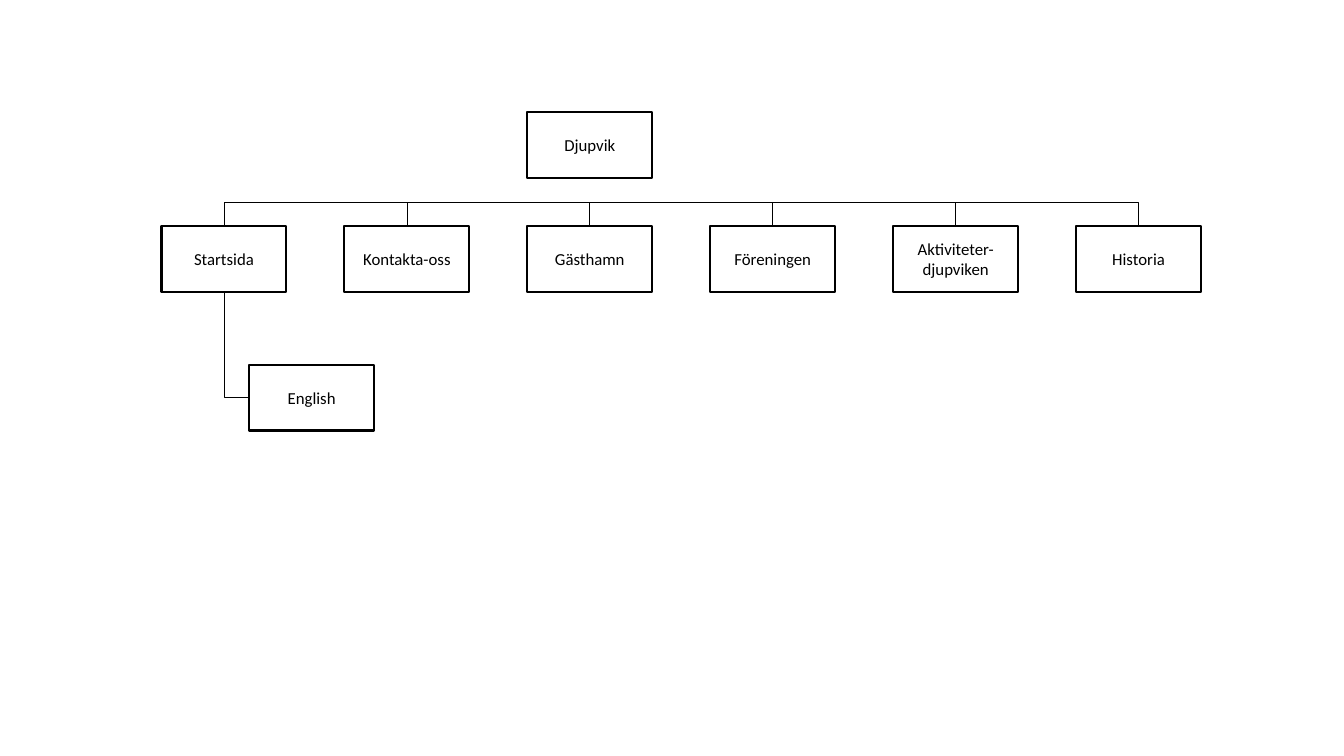
from dataclasses import dataclass

from lxml.etree import SubElement
from pptx import Presentation
from pptx.dml.color import RGBColor
from pptx.enum.shapes import MSO_CONNECTOR, MSO_SHAPE
from pptx.enum.text import MSO_ANCHOR, PP_ALIGN
from pptx.oxml.ns import qn
from pptx.util import Cm, Pt


@dataclass(frozen=True)
class Theme:
    """Colours, font and sizes of the site map."""

    ink: RGBColor = RGBColor(0x00, 0x00, 0x00)
    paper: RGBColor = RGBColor(0xFF, 0xFF, 0xFF)
    font: str = "Calibri"
    text_size: Pt = Pt(12)
    border: Pt = Pt(1.5)
    link: Pt = Pt(0.5)


THEME = Theme()
PAGES = ["Startsida", "Kontakta-oss", "Gästhamn", "Föreningen",
         "Aktiviteter-djupviken", "Historia"]
ROOT_COLUMN = PAGES.index("Gästhamn")
BOX_WIDTH, BOX_HEIGHT = 3.15, 1.66
FIRST_LEFT, COLUMN_STEP = 4.07, 4.61
ROOT_TOP, RAIL_TOP, PAGES_TOP = 2.82, 5.1, 5.7
SUBPAGE_LEFT, SUBPAGE_TOP = 6.28, 9.19


def add_page_box(slide, label, left, top):
    """Add one outlined page box with centred text."""
    shape = slide.shapes.add_shape(
        MSO_SHAPE.RECTANGLE, Cm(left), Cm(top), Cm(BOX_WIDTH), Cm(BOX_HEIGHT))
    shape.shadow.inherit = False
    shape.fill.solid()
    shape.fill.fore_color.rgb = THEME.paper
    shape.line.color.rgb = THEME.ink
    shape.line.width = THEME.border
    text_frame = shape.text_frame
    text_frame.text = label
    text_frame.word_wrap = True
    text_frame.vertical_anchor = MSO_ANCHOR.MIDDLE
    paragraph = text_frame.paragraphs[0]
    paragraph.alignment = PP_ALIGN.CENTER
    font = paragraph.runs[0].font
    font.name = THEME.font
    font.size = THEME.text_size
    font.color.rgb = THEME.ink


def add_elbow(slide, start, end, degrees=270, geometry="bentConnector2"):
    """Add an elbow that leaves its start vertically, turned 90 or 270 degrees."""
    middle_x, middle_y = (start[0] + end[0]) / 2, (start[1] + end[1]) / 2
    turn = 1 if degrees == 90 else -1
    reach_x = turn * (start[1] - middle_y)
    reach_y = turn * (middle_x - start[0])
    connector = slide.shapes.add_connector(
        MSO_CONNECTOR.ELBOW,
        Cm(middle_x + reach_x), Cm(middle_y + reach_y),
        Cm(middle_x - reach_x), Cm(middle_y - reach_y))
    connector.line.color.rgb = THEME.ink
    connector.line.width = THEME.link
    properties = connector._element.spPr
    properties.find(qn("a:xfrm")).set("rot", str(degrees * 60000))
    properties.find(qn("a:prstGeom")).set("prst", geometry)
    SubElement(properties, qn("a:effectLst"))


def add_page_links(slide, centres):
    """Link the top of every main page to the point below the root."""
    trunk = centres[ROOT_COLUMN]
    for column, centre in enumerate(centres):
        degrees = 90 if column < ROOT_COLUMN else 270
        geometry = "bentConnector3" if column == ROOT_COLUMN else "bentConnector2"
        add_elbow(slide, (centre, PAGES_TOP), (trunk, RAIL_TOP), degrees, geometry)


def main():
    """Build the site map slide and save it."""
    presentation = Presentation()
    presentation.slide_width = Cm(33.87)
    presentation.slide_height = Cm(19.05)
    slide = presentation.slides.add_slide(presentation.slide_layouts[6])
    lefts = [FIRST_LEFT + COLUMN_STEP * column for column in range(len(PAGES))]
    centres = [left + BOX_WIDTH / 2 for left in lefts]
    add_page_box(slide, "Djupvik", lefts[ROOT_COLUMN], ROOT_TOP)
    for label, left in zip(PAGES, lefts):
        add_page_box(slide, label, left, PAGES_TOP)
    add_page_box(slide, "English", SUBPAGE_LEFT, SUBPAGE_TOP)
    add_elbow(slide, (centres[0], PAGES_TOP + BOX_HEIGHT),
              (SUBPAGE_LEFT, SUBPAGE_TOP + BOX_HEIGHT / 2))
    add_page_links(slide, centres)
    presentation.save("out.pptx")


if __name__ == "__main__":
    main()
